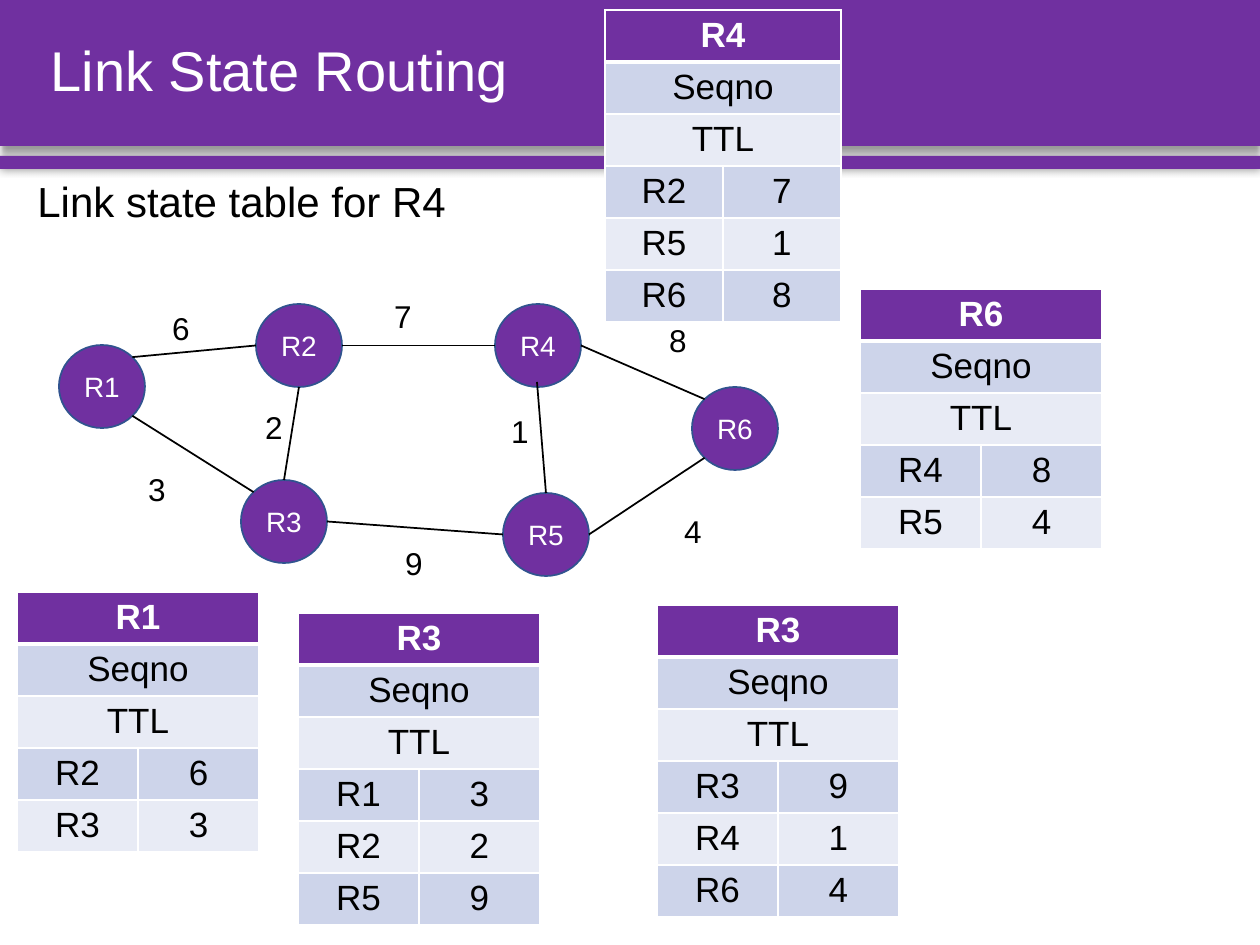
import math

import lxml.etree
import pptx
import pptx.dml.color
import pptx.enum.shapes
import pptx.enum.text
import pptx.oxml.ns
import pptx.util

FONT = "Arial"
PURPLE, WHITE, BLACK = "7030A0", "FFFFFF", "000000"
BANDS = ("CDD4EA", "E8EBF5")
ROW_HEIGHT = 52
NODE_WIDTH, NODE_HEIGHT = 86, 83
TOP, TOP_LEFT, LEFT, BOTTOM_LEFT, BOTTOM, BOTTOM_RIGHT, RIGHT, TOP_RIGHT = range(8)

NODES = {
    "R1": (59, 345), "R2": (256, 304), "R4": (495, 304),
    "R6": (692, 387), "R3": (241, 480), "R5": (503, 493),
}
LINKS = [
    ("R1", TOP_RIGHT, "R2", LEFT),
    ("R1", BOTTOM_RIGHT, "R3", TOP_LEFT),
    ("R3", RIGHT, "R5", LEFT),
    ("R2", RIGHT, "R4", LEFT),
    ("R4", RIGHT, "R6", TOP_LEFT),
    ("R5", RIGHT, "R6", BOTTOM_LEFT),
    ("R3", TOP, "R2", BOTTOM),
]
COSTS = [
    ("6", 146, 304), ("7", 368, 292), ("8", 643, 316), ("4", 658, 507),
    ("9", 379, 539), ("3", 122, 465), ("2", 239, 403), ("1", 485, 407),
]
BACK_TABLES = [
    ("R1", 17, 592, 121, [("R2", "6"), ("R3", "3")]),
    ("R3", 298, 613, 121, [("R1", "3"), ("R2", "2"), ("R5", "9")]),
]
FRONT_TABLES = [
    ("R3", 657, 605, 121, [("R3", "9"), ("R4", "1"), ("R6", "4")]),
    ("R6", 860, 289, 121, [("R4", "8"), ("R5", "4")]),
    ("R4", 605, 10, 118, [("R2", "7"), ("R5", "1"), ("R6", "8")]),
]


def px(*lengths):
    """Turn pixel lengths into a list of EMU lengths."""
    return [pptx.util.Emu(round(length * 914400 / 126)) for length in lengths]


def color(value):
    """Turn a hex string into a colour."""
    return pptx.dml.color.RGBColor.from_string(value)


def add_xml(parent, tag, **attributes):
    """Append a namespaced element with attributes."""
    values = {name: str(value) for name, value in attributes.items()}
    return lxml.etree.SubElement(parent, pptx.oxml.ns.qn(tag), values)


def set_text(frame, text, size=18, fill=BLACK, bold=False, align="CENTER", anchor="MIDDLE"):
    """Write one formatted paragraph and return it."""
    frame.word_wrap = True
    frame.vertical_anchor = getattr(pptx.enum.text.MSO_ANCHOR, anchor)
    paragraph = frame.paragraphs[0]
    paragraph.alignment = getattr(pptx.enum.text.PP_ALIGN, align)
    run = paragraph.add_run()
    run.text = text
    run.font.name, run.font.size, run.font.bold = FONT, pptx.util.Pt(size), bold
    run.font.color.rgb = color(fill)
    return paragraph


def add_bar(slide, top, height, blur, distance):
    """Draw a full-width bar with a soft shadow."""
    kind = pptx.enum.shapes.MSO_SHAPE.RECTANGLE
    shape = slide.shapes.add_shape(kind, *px(0, top, 1260, height))
    shape.fill.solid()
    shape.fill.fore_color.rgb = color(PURPLE)
    shape.line.fill.background()
    effects = add_xml(shape.element.spPr, "a:effectLst")
    shadow = add_xml(effects, "a:outerShdw", blurRad=pptx.util.Pt(blur),
                     dist=pptx.util.Pt(distance), dir=5400000 if distance else 0,
                     rotWithShape=0)
    add_xml(add_xml(shadow, "a:srgbClr", val=BLACK), "a:alpha", val=40000)
    return shape


def set_title(slide, text, below):
    """Place the title just above the given shape in the stack."""
    title = slide.shapes.title
    title.left, title.top, title.width, title.height = px(38, 0, 1192, 146)
    set_text(title.text_frame, text, size=32, fill=WHITE, align="LEFT").line_spacing = 0.9
    below.element.addnext(title.element)


def add_label(shapes, text, left, top, width, height, **text_format):
    """Add a text box."""
    box = shapes.add_textbox(*px(left, top, width, height))
    set_text(box.text_frame, text, **text_format)


def add_node(shapes, name, left, top):
    """Draw one router."""
    kind = pptx.enum.shapes.MSO_SHAPE.FLOWCHART_CONNECTOR
    shape = shapes.add_shape(kind, *px(left, top, NODE_WIDTH, NODE_HEIGHT))
    shape.shadow.inherit = False
    shape.fill.solid()
    shape.fill.fore_color.rgb = color(PURPLE)
    shape.line.color.rgb = color("31538F")
    shape.line.width = pptx.util.Pt(1)
    set_text(shape.text_frame, name, size=16, fill=WHITE)
    return shape


def site_point(name, site):
    """Find a router's connection site, counted anticlockwise from the top."""
    left, top = NODES[name]
    angle = math.radians(90 + 45 * site)
    return (left + NODE_WIDTH / 2 * (1 + math.cos(angle)),
            top + NODE_HEIGHT / 2 * (1 - math.sin(angle)))


def add_line(shapes, start, end):
    """Draw a thin straight connector between two points."""
    kind = pptx.enum.shapes.MSO_CONNECTOR.STRAIGHT
    line = shapes.add_connector(kind, *px(*start, *end))
    line.line.color.rgb = color(BLACK)
    line.line.width = pptx.util.Pt(1)
    add_xml(line.element.spPr, "a:effectLst")
    return line


def attach(line, tag, node, site):
    """Join one end of a connector to a router's site."""
    properties = line.element.find(".//" + pptx.oxml.ns.qn("p:cNvCxnSpPr"))
    add_xml(properties, tag, id=node.shape_id, idx=site)


def add_network(slide):
    """Draw the routers, their links and the link costs as one group."""
    shapes = slide.shapes.add_group_shape().shapes
    nodes = {name: add_node(shapes, name, *corner) for name, corner in NODES.items()}
    for first, first_site, second, second_site in LINKS:
        line = add_line(shapes, site_point(first, first_site), site_point(second, second_site))
        attach(line, "a:stCxn", nodes[first], first_site)
        attach(line, "a:endCxn", nodes[second], second_site)
    line = add_line(shapes, site_point("R5", TOP), (537, 382))
    attach(line, "a:stCxn", nodes["R5"], TOP)
    for cost, left, top in COSTS:
        add_label(shapes, cost, left, top, 70, 48)


def format_cell(cell, fill, bottom=1):
    """Give a cell white borders, a solid fill and a slim bottom margin."""
    properties = cell._tc.get_or_add_tcPr()
    for side, width in (("L", 1), ("R", 1), ("T", 1), ("B", bottom)):
        border = add_xml(properties, "a:ln" + side, w=pptx.util.Pt(width))
        add_xml(add_xml(border, "a:solidFill"), "a:srgbClr", val=WHITE)
    cell.fill.solid()
    cell.fill.fore_color.rgb = color(fill)
    cell.margin_top, cell.margin_bottom = px(6, 2)


def add_link_table(slide, router, left, top, column_width, neighbours):
    """Add the link state table of one router."""
    rows = [(router,), ("Seqno",), ("TTL",), *neighbours]
    frame = slide.shapes.add_table(
        len(rows), 2, *px(left, top, 2 * column_width, ROW_HEIGHT * len(rows)))
    table = frame.table
    for index, values in enumerate(rows):
        header = index == 0
        for column in range(2):
            format_cell(table.cell(index, column),
                        PURPLE if header else BANDS[(index - 1) % 2], 3 if header else 1)
        if len(values) == 1:
            table.cell(index, 0).merge(table.cell(index, 1))
        for column, value in enumerate(values):
            cell = table.cell(index, column)
            set_text(cell.text_frame, value, size=20, bold=header,
                     fill=WHITE if header else BLACK, anchor="TOP")


def main():
    """Build the slide and save it."""
    presentation = pptx.Presentation()
    presentation.slide_width, presentation.slide_height = px(1260, 945)
    slide = presentation.slides.add_slide(presentation.slide_layouts[5])
    add_bar(slide, 0, 146, 4, 3)
    stripe = add_bar(slide, 156, 13, 5, 0)
    set_title(slide, "Link State Routing", stripe)
    for table in BACK_TABLES:
        add_link_table(slide, *table)
    add_network(slide)
    add_label(slide.shapes, "Link state table for R4", 25, 169, 512, 50,
              size=24, align="LEFT", anchor="TOP")
    for table in FRONT_TABLES:
        add_link_table(slide, *table)
    presentation.save("out.pptx")


if __name__ == "__main__":
    main()
